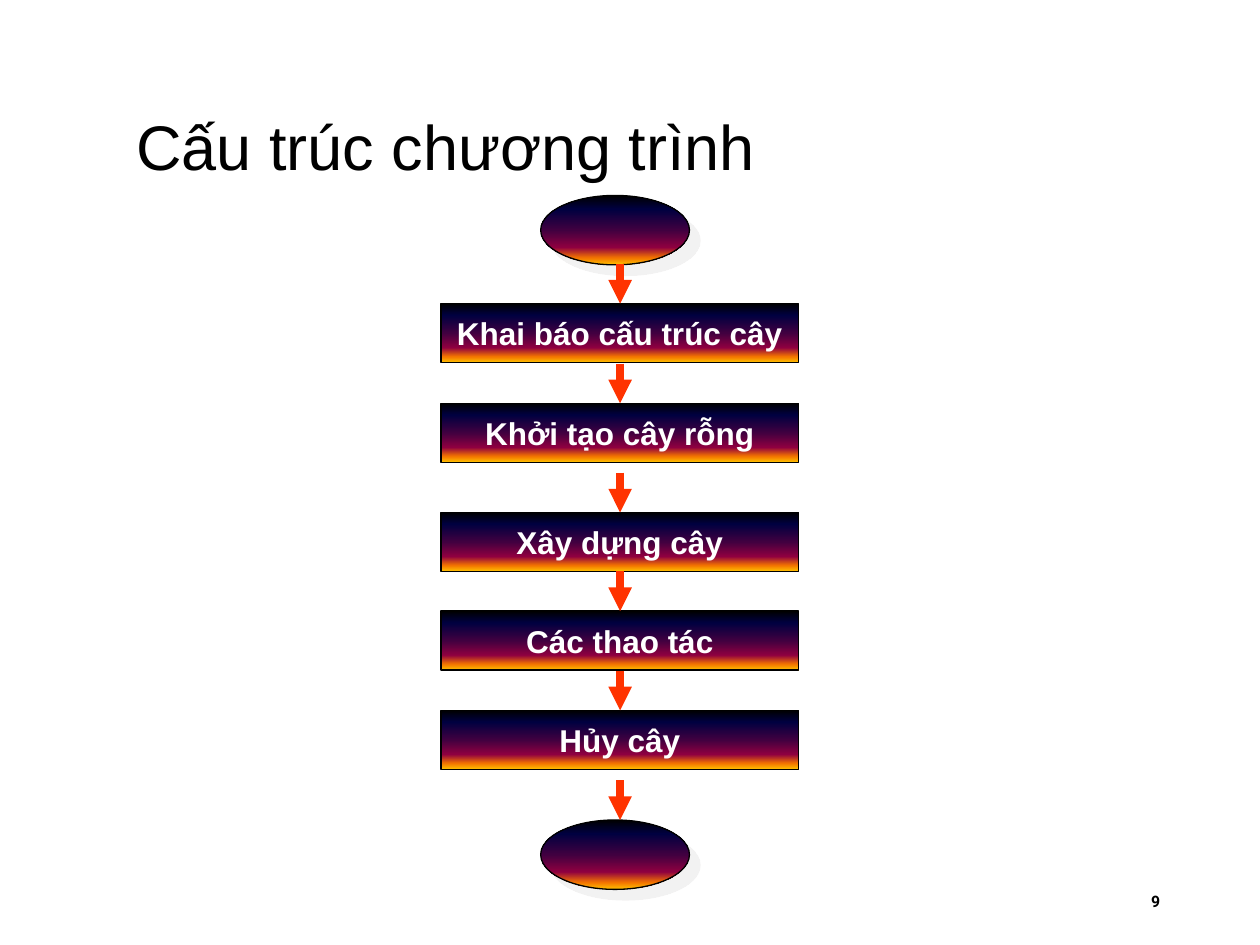
"""Build the slide with the vertical flow chart of a tree program."""
import lxml.etree
import pptx
import pptx.dml.color
import pptx.enum.shapes
import pptx.enum.text
import pptx.oxml.ns
import pptx.util

Cm = pptx.util.Cm
Pt = pptx.util.Pt
RGBColor = pptx.dml.color.RGBColor
Align = pptx.enum.text.PP_ALIGN
Shape = pptx.enum.shapes.MSO_SHAPE
qn = pptx.oxml.ns.qn

BLACK = RGBColor(0x00, 0x00, 0x00)
WHITE = RGBColor(0xFF, 0xFF, 0xFF)
ARROW_RED = RGBColor(0xFF, 0x33, 0x00)
SHADOW_GRAY = RGBColor(0xE7, 0xE6, 0xE6)
GRADIENT = [
    (0, BLACK),
    (20, RGBColor(0x00, 0x00, 0x40)),
    (50, RGBColor(0x40, 0x00, 0x40)),
    (75, RGBColor(0x8F, 0x00, 0x40)),
    (90, RGBColor(0xF2, 0x73, 0x00)),
    (100, RGBColor(0xFF, 0xBF, 0x00)),
]

ARROW_X = 12.5
ARROW_LENGTH = 0.8
OVAL = (10.9, 3.0, 1.4)
BOX = (8.89, 7.21, 1.19)
STEPS = [
    (3.94, ""),
    (6.12, "Khai báo cấu trúc cây"),
    (8.13, "Khởi tạo cây rỗng"),
    (10.33, "Xây dựng cây"),
    (12.32, "Các thao tác"),
    (14.32, "Hủy cây"),
    (16.53, ""),
]


def write_text(shape, text, size, color, font="Arial", bold=False, align=Align.LEFT, wrap=True):
    frame = shape.text_frame
    frame.word_wrap = wrap
    frame.auto_size = pptx.enum.text.MSO_AUTO_SIZE.NONE
    frame.vertical_anchor = pptx.enum.text.MSO_ANCHOR.MIDDLE
    paragraph = frame.paragraphs[0]
    paragraph.alignment = align
    run = paragraph.add_run()
    run.text = text
    run.font.name = font
    run.font.size = Pt(size)
    run.font.bold = bold
    run.font.color.rgb = color


def add_color(parent, color, **attributes):
    element = lxml.etree.SubElement(parent, qn("a:srgbClr"), val=str(color))
    for name, value in attributes.items():
        lxml.etree.SubElement(element, qn("a:" + name), val=value)


presentation = pptx.Presentation()
presentation.slide_width = Cm(25.4)
presentation.slide_height = Cm(19.05)
slide = presentation.slides.add_slide(presentation.slide_layouts[5])

title = slide.shapes.title
title.left, title.top, title.width, title.height = Cm(2.49), Cm(1.73), Cm(19.5), Cm(2.39)
write_text(title, "Cấu trúc chương trình", size=36, color=BLACK)

page_number = slide.shapes.add_textbox(Cm(16.81), Cm(17.65), Cm(6.83), Cm(1.02))
write_text(page_number, "9", size=9, color=BLACK, font="Roboto", bold=True, align=Align.RIGHT)

for top, label in STEPS:
    left, width, height = BOX if label else OVAL
    kind = Shape.RECTANGLE if label else Shape.OVAL
    step = slide.shapes.add_shape(kind, Cm(left), Cm(top), Cm(width), Cm(height))
    step.fill.gradient()
    step.fill.gradient_angle = 270
    stops = step.element.spPr.find(".//" + qn("a:gsLst"))
    stops.clear()
    for position, color in GRADIENT:
        stop = lxml.etree.SubElement(stops, qn("a:gs"), pos=str(position * 1000))
        add_color(stop, color)
    step.line.color.rgb = BLACK
    step.line.width = Pt(0.75)
    step.shadow.inherit = False
    if label:
        write_text(step, label, size=18, color=WHITE, bold=True, align=Align.CENTER, wrap=False)
    else:
        effects = step.element.spPr.find(qn("a:effectLst"))
        shadow = lxml.etree.SubElement(
            effects, qn("a:outerShdw"), dist=str(Pt(8.5)), dir="2700000", algn="ctr", rotWithShape="0"
        )
        add_color(shadow, SHADOW_GRAY, alpha="50000")

for top, label in STEPS[1:]:
    arrow = slide.shapes.add_connector(
        pptx.enum.shapes.MSO_CONNECTOR.STRAIGHT,
        Cm(ARROW_X), Cm(top - ARROW_LENGTH), Cm(ARROW_X), Cm(top),
    )
    arrow.line.color.rgb = ARROW_RED
    arrow.line.width = Pt(4.5)
    lxml.etree.SubElement(arrow.line._get_or_add_ln(), qn("a:tailEnd"), type="triangle")
    lxml.etree.SubElement(arrow.element.spPr, qn("a:effectLst"))

presentation.save("out.pptx")
